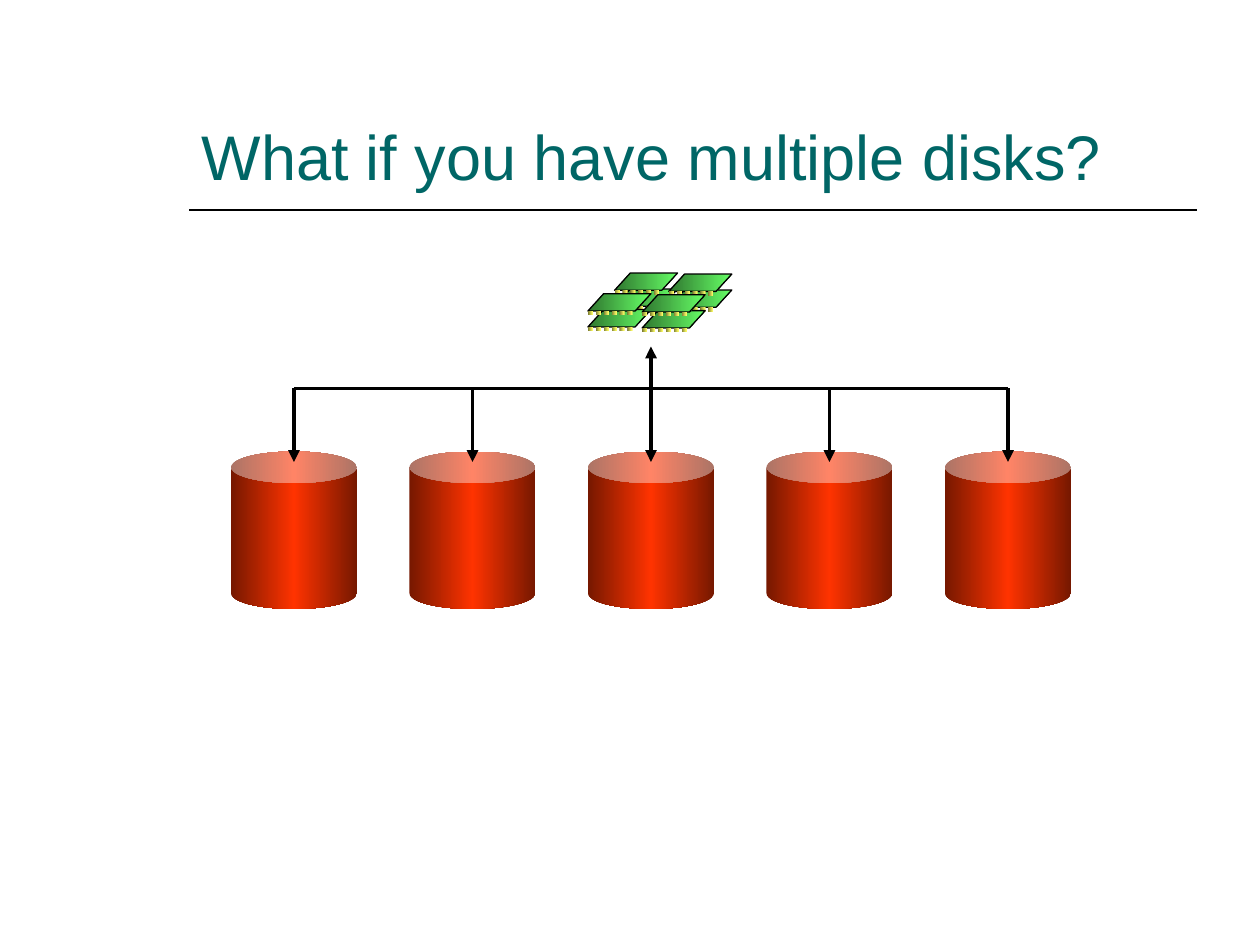
"""Build a slide showing memory connected to five parallel disks."""
from copy import deepcopy
from itertools import product

from lxml.etree import SubElement
from pptx import Presentation
from pptx.dml.color import RGBColor
from pptx.enum.shapes import MSO_CONNECTOR, MSO_SHAPE
from pptx.enum.text import MSO_ANCHOR, PP_ALIGN
from pptx.oxml.ns import qn
from pptx.util import Pt

COLORS = {
    "title": "006666",
    "line": "000000",
    "disk_edge": "761800",
    "disk_middle": "FF3300",
    "chip_dark": "2F762F",
    "chip_light": "66FF66",
    "pin_dark": "76762F",
    "pin_light": "FFFF66",
}
DISK_LEFTS = [132 + 102 * index for index in range(5)]
DISK_WIDTH = 72
BUS_TOP = 222


def color(name):
    return RGBColor.from_string(COLORS[name])


def write_text(box, text, *, size, color_name, font="Arial"):
    frame = box.text_frame
    frame.word_wrap = True
    frame.vertical_anchor = MSO_ANCHOR.BOTTOM
    para = frame.paragraphs[0]
    para.alignment = PP_ALIGN.LEFT
    span = para.add_run()
    span.text = text
    span.font.name = font
    span.font.size = Pt(size)
    span.font.color.rgb = color(color_name)


def add_title(page, text):
    title = page.shapes.title
    title.left, title.top, title.width, title.height = Pt(108), Pt(24), Pt(576), Pt(90)
    write_text(title, text, size=36, color_name="title")


def add_gradient_shape(shapes, kind, left, top, width, height, color_names, adjustment=None):
    shape = shapes.add_shape(kind, Pt(left), Pt(top), Pt(width), Pt(height))
    shape.shadow.inherit = False
    shape.line.fill.background()
    if adjustment is not None:
        shape.adjustments[0] = adjustment
    shape.fill.gradient()
    shape.fill.gradient_angle = 0
    stop_list = next(shape._element.iter(qn("a:gsLst")))
    while len(stop_list) < len(color_names):
        stop_list.append(deepcopy(stop_list[0]))
    for index, (stop, name) in enumerate(zip(shape.fill.gradient_stops, color_names)):
        stop.position = index / (len(color_names) - 1)
        stop.color.rgb = color(name)
    return shape


def add_line(shapes, start, end, width, arrow=False):
    line = shapes.add_connector(MSO_CONNECTOR.STRAIGHT, *map(Pt, start + end))
    line.line.color.rgb = color("line")
    line.line.width = Pt(width)
    if arrow:
        SubElement(line.line._get_or_add_ln(), qn("a:tailEnd"), type="triangle")
    SubElement(line._element.spPr, qn("a:effectLst"))


def add_disk(page, left):
    add_gradient_shape(page.shapes, MSO_SHAPE.CAN, left, 258, DISK_WIDTH, 90,
                       ["disk_edge", "disk_middle", "disk_edge"], 0.25)


def add_chip(shapes, left, top):
    board = add_gradient_shape(shapes, MSO_SHAPE.PARALLELOGRAM, left, top, 36, 9.9,
                               ["chip_dark", "chip_light"], 0.91)
    board.line.color.rgb = color("line")
    board.line.width = Pt(0.75)
    for index in range(6):
        add_gradient_shape(shapes, MSO_SHAPE.RECTANGLE, left + 4.5 * index, top + 9.7,
                           2.7, 2.7, ["pin_dark", "pin_light"])


def add_memory(page):
    shapes = page.shapes.add_group_shape().shapes
    rows = [(351.2, 156), (336, 167.8)]
    for (left, top), column, level in product(rows, range(2), (1, 0)):
        add_chip(shapes, left + 31 * column, top + 0.6 * column + 9.1 * level)


def add_bus(page):
    shapes = page.shapes.add_group_shape().shapes
    centers = [left + DISK_WIDTH / 2 for left in DISK_LEFTS]
    add_line(shapes, (centers[0], BUS_TOP), (centers[-1], BUS_TOP), 2.25)
    for center in centers:
        add_line(shapes, (center, BUS_TOP), (center, 264), 2.25, arrow=True)
    add_line(shapes, (centers[2], BUS_TOP), (centers[2], 198), 2.25, arrow=True)


def main():
    deck = Presentation()
    deck.slide_width, deck.slide_height = Pt(720), Pt(540)
    page = deck.slides.add_slide(deck.slide_layouts[5])
    add_line(page.shapes, (108, 120), (684, 120), 1)
    add_title(page, "What if you have multiple disks?")
    for left in DISK_LEFTS:
        add_disk(page, left)
    add_memory(page)
    add_bus(page)
    deck.save("out.pptx")


if __name__ == "__main__":
    main()
